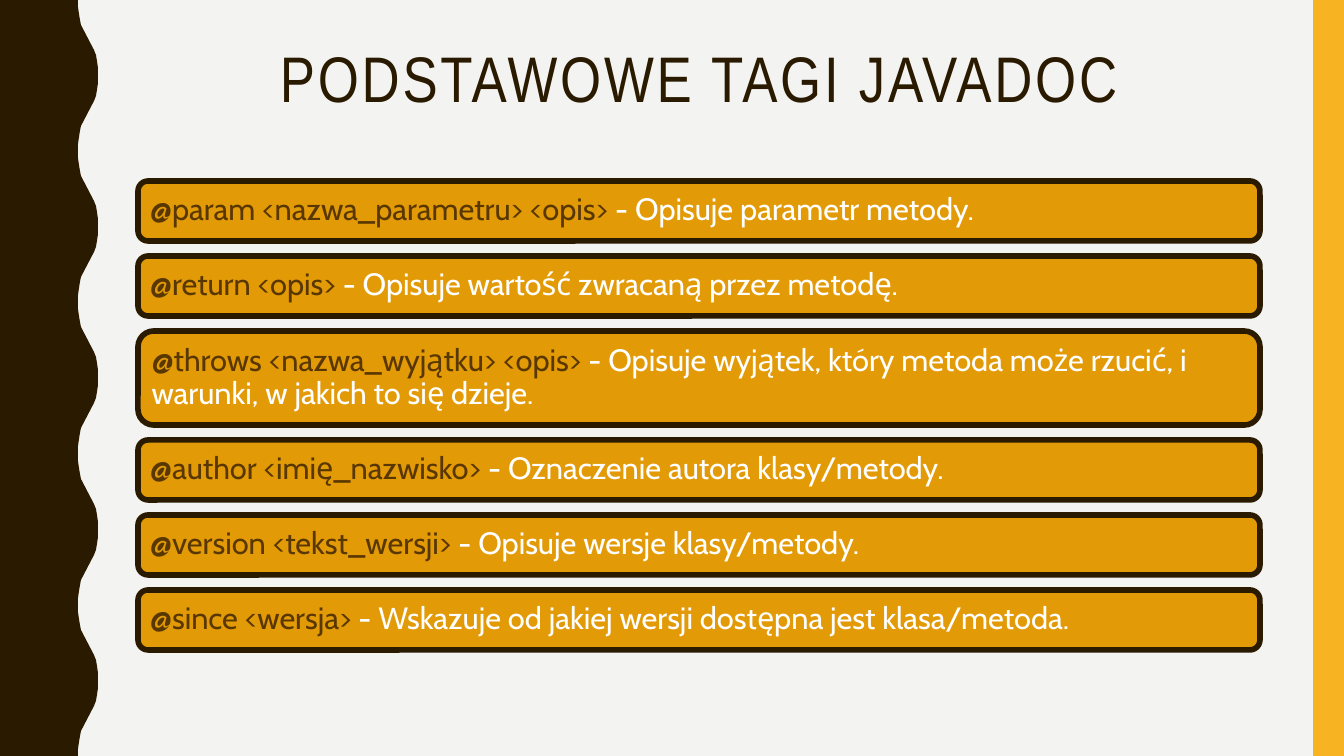
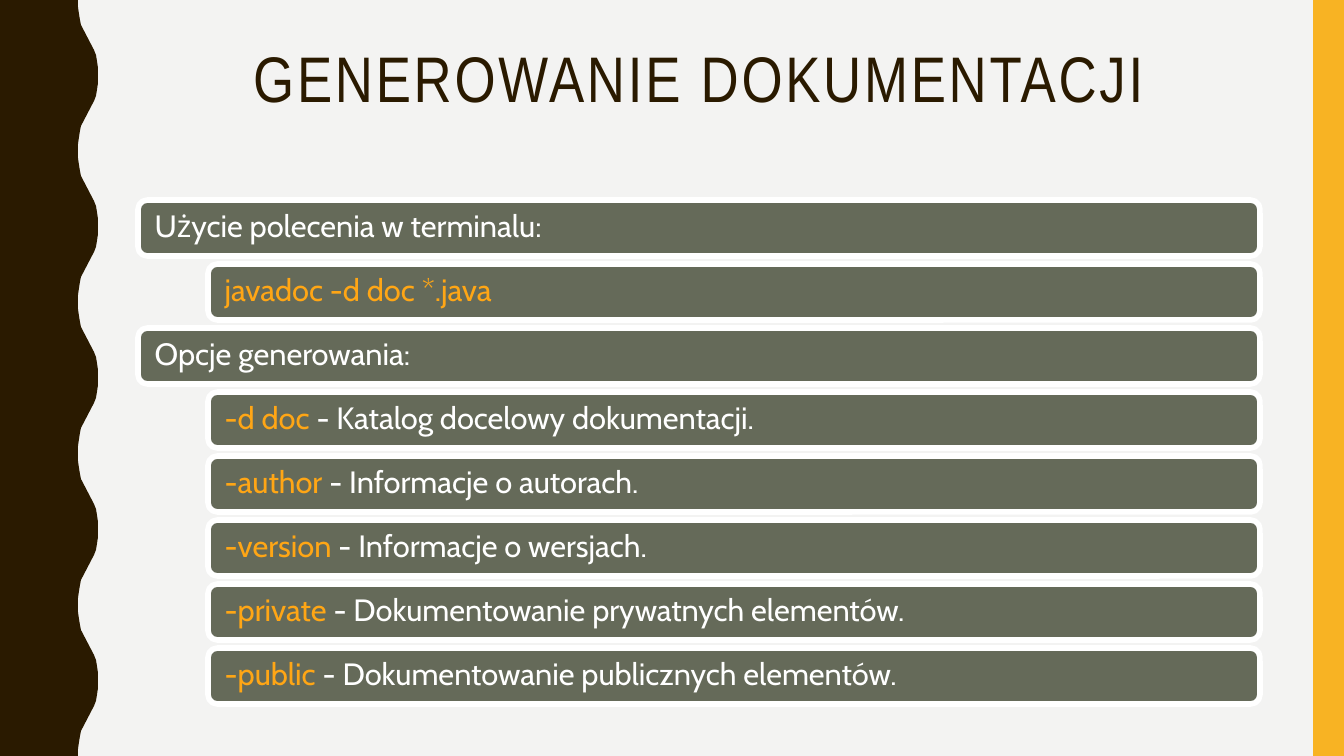
from pptx import Presentation
from pptx.dml.color import RGBColor as Rgb
from pptx.enum.shapes import MSO_SHAPE as Kind
from pptx.enum.text import MSO_ANCHOR as Anchor, MSO_AUTO_SIZE as Fit, PP_ALIGN as Align
from pptx.util import Emu, Pt

SCALE = 914400 / 100.8
WIDE, HIGH = 1344, 756
DARK, GOLD, PAPER, WHITE = "2A1A00", "F8B323", "F3F3F2", "FFFFFF"
AMBER, BROWN, OLIVE, ORANGE = "E39A07", "593700", "656A59", "FFA615"
LEFT, RIGHT = 138, 1260
CURVE = [(0, 0), (0, 7), (1, 14), (2, 20), (3, 25), (16, 50),
         (18, 55), (19, 61), (20, 68), (20, 75)]

TAGS = [
    ("@param <nazwa_parametru> <opis> ", "- Opisuje parametr metody.", 60),
    ("@return <opis> ", "- Opisuje wartość zwracaną przez metodę.", 60),
    ("@throws <nazwa_wyjątku> <opis> ",
     "- Opisuje wyjątek, który metoda może rzucić, i warunki, w jakich to się dzieje.", 94),
    ("@author <imię_nazwisko> ", "- Oznaczenie autora klasy/metody.", 60),
    ("@version <tekst_wersji> ", "- Opisuje wersje klasy/metody.", 60),
    ("@since <wersja> ", "- Wskazuje od jakiej wersji dostępna jest klasa/metoda.", 60),
]
STEPS = [
    ("", "Użycie polecenia w terminalu:", 0),
    ("javadoc -d doc *.java", "", 70),
    ("", "Opcje generowania:", 0),
    ("-d doc ", "- Katalog docelowy dokumentacji.", 70),
    ("-author ", "- Informacje o autorach.", 70),
    ("-version ", "- Informacje o wersjach.", 70),
    ("-private ", "- Dokumentowanie prywatnych elementów.", 70),
    ("-public ", "- Dokumentowanie publicznych elementów.", 70),
]


def px(size):
    return Emu(round(size * SCALE))


def tint(code):
    return Rgb.from_string(code)


class Deck:
    """Holds the deck style and the slide being drawn."""

    def __init__(self):
        self.show = Presentation()
        self.show.slide_width, self.show.slide_height = px(WIDE), px(HIGH)
        self.frame = self.show.slide_layouts[5]
        self.slide = None
        ground = self.show.slide_master.background.fill
        ground.solid()
        ground.fore_color.rgb = tint(PAPER)

    def page(self, name):
        first = self.slide is None
        self.slide = self.show.slides.add_slide(self.frame)
        if first:
            self.share(self.wave(), 91)
            self.share(self.box(Kind.RECTANGLE, 1313, 0, 31, HIGH, GOLD), 92)
        self.title(name)

    def share(self, shape, mark):
        node = shape.element
        node.xpath(".//p:cNvPr")[0].set("id", str(mark))
        self.frame.shapes.element.insert(2, node)

    def paint(self, shape, fill, edge=None):
        shape.shadow.inherit = False
        shape.fill.solid()
        shape.fill.fore_color.rgb = tint(fill)
        if edge:
            shape.line.color.rgb = tint(edge)
            shape.line.width = Pt(4)
        else:
            shape.line.fill.background()
        return shape

    def box(self, kind, x, y, w, h, fill, edge=None):
        shape = self.slide.shapes.add_shape(kind, px(x), px(y), px(w), px(h))
        return self.paint(shape, fill, edge)

    def wave(self):
        cycle = CURVE + [(dx, 151 - dy) for dx, dy in reversed(CURVE[:-1])]
        points = [(78 + dx, round(turn * HIGH / 5) + dy)
                  for turn in range(5) for dx, dy in cycle]
        pen = self.slide.shapes.build_freeform(0, 0, scale=SCALE)
        pen.add_line_segments(points + [(78, HIGH), (0, HIGH)], close=True)
        return self.paint(pen.convert_to_shape(), DARK)

    def words(self, para, text, face, size, color):
        run = para.add_run()
        run.text = text
        run.font.name, run.font.size = face, Pt(size)
        run.font.color.rgb = tint(color)
        return run

    def title(self, text):
        head = self.slide.shapes.title
        head.left, head.top, head.width, head.height = px(LEFT), px(42), px(1122), px(164)
        body = head.text_frame
        body.word_wrap, body.auto_size = True, Fit.NONE
        body.vertical_anchor = Anchor.TOP
        para = body.paragraphs[0]
        para.alignment, para.line_spacing = Align.CENTER, 0.9
        run = self.words(para, text, "Arial Narrow", 46, DARK)
        run.font._element.set("spc", "200")

    def bar(self, x, y, h, parts, fill, edge, inset):
        shape = self.box(Kind.ROUNDED_RECTANGLE, x, y, RIGHT - x, h, fill, edge)
        body = shape.text_frame
        body.word_wrap, body.vertical_anchor = True, Anchor.MIDDLE
        body.margin_left = px(inset)
        body.margin_right = body.margin_top = body.margin_bottom = px(9)
        para = body.paragraphs[0]
        para.alignment, para.line_spacing = Align.LEFT, 0.9
        for text, color in parts:
            if text:
                self.words(para, text, "Cabin", 22, color)


def main():
    deck = Deck()

    deck.page("PODSTAWOWE TAGI JAVADOC")
    top = 181
    for tag, note, high in TAGS:
        deck.bar(LEFT, top, high, [(tag, BROWN), (note, WHITE)], AMBER, DARK, 9)
        top += high + 15

    deck.page("GENEROWANIE DOKUMENTACJI")
    for row, (code, note, shift) in enumerate(STEPS):
        deck.bar(LEFT + shift, 200 + row * 64, 56,
                 [(code, ORANGE), (note, WHITE)], OLIVE, WHITE, 14)

    deck.show.save("out.pptx")


if __name__ == "__main__":
    main()
